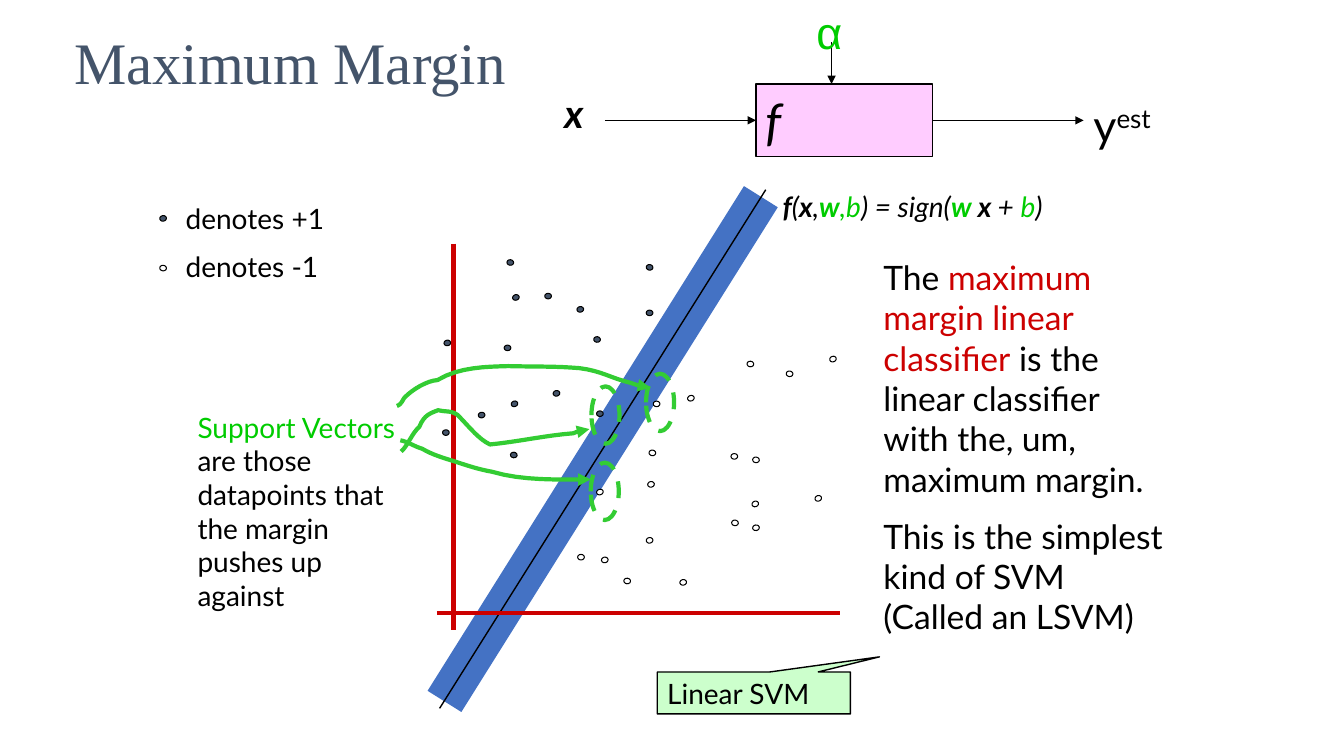
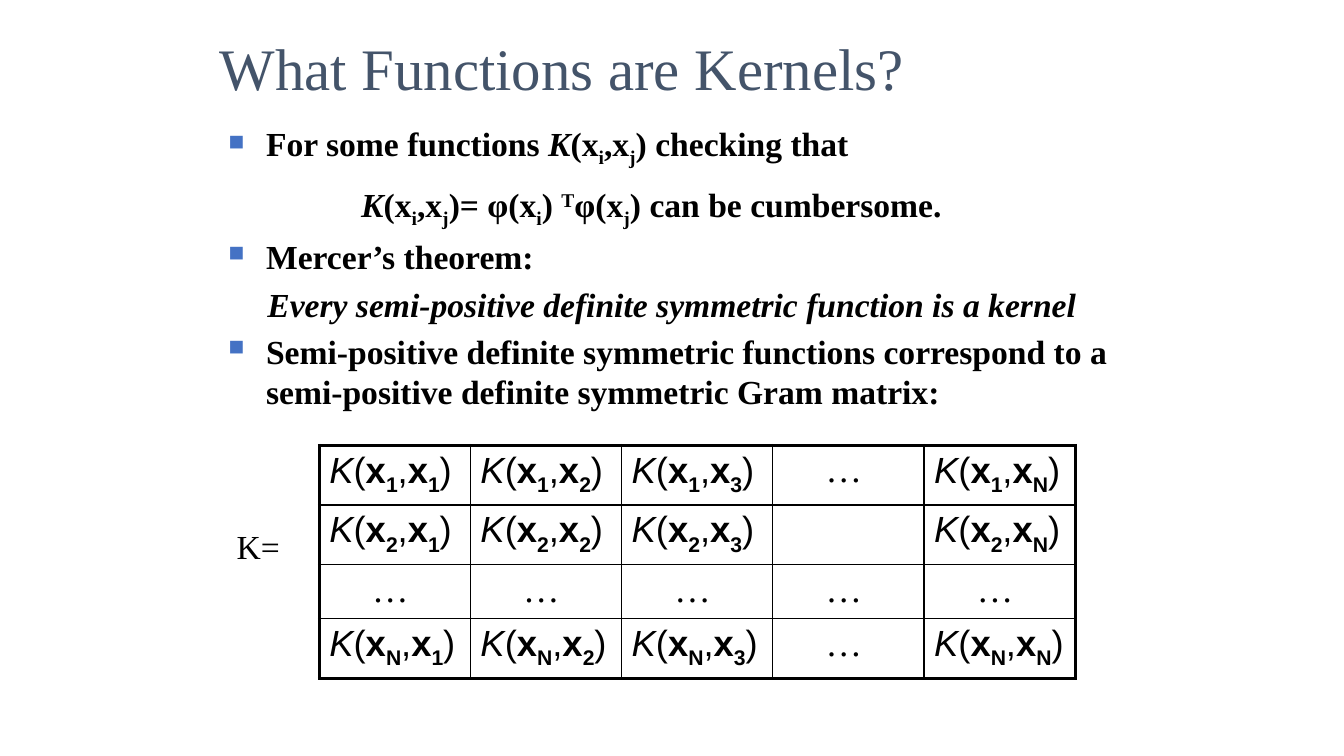
from lxml import etree
from pptx import Presentation
from pptx.dml.color import RGBColor
from pptx.enum.dml import MSO_LINE
from pptx.enum.shapes import MSO_CONNECTOR, MSO_SHAPE
from pptx.enum.text import MSO_ANCHOR, PP_ALIGN
from pptx.oxml.ns import qn
from pptx.util import Pt

BLACK = RGBColor(0x00, 0x00, 0x00)
WHITE = RGBColor(0xFF, 0xFF, 0xFF)
SLATE = RGBColor(0x44, 0x54, 0x6A)
BLUE = RGBColor(0x44, 0x72, 0xC4)
RED = RGBColor(0xCC, 0x00, 0x00)
GREEN = RGBColor(0x00, 0xCC, 0x00)
ARROW_GREEN = RGBColor(0x33, 0xCC, 0x33)
PINK = RGBColor(0xFF, 0xCC, 0xFF)
MINT = RGBColor(0xCC, 0xFF, 0xCC)

SANS, SERIF, ARIAL = "Lato", "Times New Roman", "Arial"
TOP, MIDDLE, BOTTOM = MSO_ANCHOR.TOP, MSO_ANCHOR.MIDDLE, MSO_ANCHOR.BOTTOM
LEFT, CENTER = PP_ALIGN.LEFT, PP_ALIGN.CENTER
RECTANGLE, ELLIPSE = MSO_SHAPE.RECTANGLE, MSO_SHAPE.OVAL
CALLOUT = MSO_SHAPE.RECTANGULAR_CALLOUT
STRAIGHT = MSO_CONNECTOR.STRAIGHT
DASH = MSO_LINE.DASH
LEFT_SIDE, RIGHT_SIDE = 1, 3

INKS = {"g": GREEN, "r": RED}
BASELINES = {"_": "-25000", "^": "30000"}

DATAPOINTS = [
    (0, SLATE, [(318.5, 309), (464, 223.5), (391.5, 211.5), (428.5, 295.5), (362.5, 248.5)]),
    (0, WHITE, [(415, 398), (469, 288.5), (524.5, 326)]),
    (-19, SLATE, [(368.5, 212.5), (367.5, 288.5)]),
    (-19, WHITE, [(428.5, 351.5), (595, 256.5), (539.5, 360), (493.5, 284.5), (584.5, 356)]),
    (8, SLATE, [(426.5, 242.5), (367, 325), (464, 191), (364.5, 187.5)]),
    (8, WHITE, [(448, 415), (540, 328.5), (466, 323.5), (564, 267), (536, 260),
                (525, 373.5)]),
    (-10, SLATE, [(397.5, 281), (344, 296.5), (414.5, 221), (319.5, 245)]),
    (-10, WHITE, [(488, 416), (464, 386), (465, 346), (432, 400), (540, 377)]),
]
LEGEND_POINTS = [(-10, SLATE, [(116.5, 156)]), (8, WHITE, [(116.5, 191.5)])]

SUPPORT_ARROWS = [
    [(286.5, 322.5), (291, 319), (294.5, 309), (299.5, 305), (303, 296), (308, 295),
     (313, 293), (319, 294.5), (322, 293), (327, 296.5), (337, 307), (342, 313.5),
     (350, 317.5), (370, 315.5), (390, 311), (409.5, 309.5), (413, 308),
     (417.5, 306.5), (421, 306.5)],
    [(283.5, 290), (287, 289), (288, 284.5), (289.5, 283.5), (295, 278), (305, 272),
     (312.5, 271.5), (328, 262), (348, 262), (363, 261.5), (380, 262), (397.5, 261.5),
     (414, 263), (430, 265), (436, 270), (450.5, 273.5), (455, 275), (460, 277),
     (464.5, 277)],
    [(286, 314.5), (291.5, 315.5), (296, 319), (301.5, 320.5), (309, 325), (318, 327.5),
     (326, 330), (335, 333), (343, 335.5), (351.5, 337), (373.5, 343.5), (399, 342.5),
     (422, 342.5)],
]


def kernel(row, column, style=""):
    return [("K", style + "i"), ("(", style), ("x", "b"), (row, "b_"),
            (",", style), ("x", "b"), (column, "b_"), (")", style)]


def bezier_points(points, steps=8):
    for start in range(0, len(points) - 1, 3):
        a, b, c, d = points[start:start + 4]
        for step in range(1, steps + 1):
            t = step / steps
            u = 1 - t
            yield tuple(
                Pt(u**3 * a[k] + 3 * u * u * t * b[k] + 3 * u * t * t * c[k] + t**3 * d[k])
                for k in (0, 1))


class Deck:
    def __init__(self):
        self.presentation = Presentation()
        self.presentation.slide_width = Pt(960)
        self.presentation.slide_height = Pt(540)
        self.slide = None

    def new_slide(self):
        layout = self.presentation.slide_layouts[6]
        self.slide = self.presentation.slides.add_slide(layout)

    def set_text(self, frame, paragraphs, size, font=SANS, color=BLACK, gap=0.5,
                 align=LEFT, anchor=TOP):
        frame.word_wrap = True
        frame.vertical_anchor = anchor
        for number, runs in enumerate(paragraphs):
            paragraph = frame.add_paragraph() if number else frame.paragraphs[0]
            paragraph.alignment = align
            paragraph.space_before = Pt(size * gap)
            for words, style in runs:
                run = paragraph.add_run()
                run.text = words
                run.font.name = font
                run.font.size = Pt(size)
                run.font.bold = "b" in style
                run.font.italic = "i" in style
                run.font.color.rgb = color
                for mark in style:
                    if mark in INKS:
                        run.font.color.rgb = INKS[mark]
                    if mark in BASELINES:
                        run.font._element.set("baseline", BASELINES[mark])

    def text(self, box, paragraphs, size, **style):
        frame = self.slide.shapes.add_textbox(*map(Pt, box)).text_frame
        self.set_text(frame, paragraphs, size, **style)
        return frame

    def title(self, box, words, anchor):
        self.text(box, [[(words, "")]], 42, font=SERIF, color=SLATE, anchor=anchor)

    def outline(self, shape, color, width, arrow=False):
        shape.line.color.rgb = color
        shape.line.width = Pt(width)
        if arrow:
            line = shape._element.spPr.find(qn("a:ln"))
            etree.SubElement(line, qn("a:tailEnd"), type="triangle")

    def shape(self, kind, box, fill=None, color=BLACK, width=1):
        shape = self.slide.shapes.add_shape(kind, *map(Pt, box))
        shape.shadow.inherit = False
        if fill is None:
            shape.fill.background()
        else:
            shape.fill.solid()
            shape.fill.fore_color.rgb = fill
        self.outline(shape, color, width)
        return shape

    def line(self, start, end, color=BLACK, width=1, arrow=False):
        line = self.slide.shapes.add_connector(STRAIGHT, *map(Pt, start + end))
        self.outline(line, color, width, arrow)
        etree.SubElement(line._element.spPr, qn("a:effectLst"))
        return line

    def datapoints(self, groups):
        for tilt, fill, centers in groups:
            for x, y in centers:
                dot = self.shape(ELLIPSE, (x - 2.4, y - 2, 4.8, 4), fill, width=0.75)
                dot.rotation = tilt

    def curved_arrow(self, points):
        x, y = points[0]
        builder = self.slide.shapes.build_freeform(Pt(x), Pt(y))
        builder.add_line_segments(list(bezier_points(points)), close=False)
        curve = builder.convert_to_shape()
        curve.shadow.inherit = False
        curve.fill.background()
        self.outline(curve, ARROW_GREEN, 3, arrow=True)

    def indent(self, paragraph, margin, first, bullet=False):
        properties = paragraph._p.get_or_add_pPr()
        properties.set("marL", str(Pt(margin)))
        properties.set("indent", str(Pt(first)))
        if bullet:
            color = etree.SubElement(properties, qn("a:buClr"))
            etree.SubElement(color, qn("a:srgbClr"), val=str(BLUE))
            etree.SubElement(properties, qn("a:buSzPct"), val="65000")
            etree.SubElement(properties, qn("a:buChar"), char="■")

    def border(self, cell, widths):
        properties = cell._tc.get_or_add_tcPr()
        for side, width in zip("LRTB", widths):
            edge = etree.SubElement(properties, qn("a:ln" + side), w=str(Pt(width)))
            fill = etree.SubElement(edge, qn("a:solidFill"))
            etree.SubElement(fill, qn("a:srgbClr"), val=str(BLACK))

    def matrix(self, left, top, column_width, row_height, names_down, names_across):
        rows, columns = len(names_down), len(names_across)
        table = self.slide.shapes.add_table(
            rows, columns, Pt(left), Pt(top),
            Pt(column_width * columns), Pt(row_height * rows)).table
        table.first_row = table.horz_banding = False
        for r, down in enumerate(names_down):
            table.rows[r].height = Pt(row_height)
            for c, across in enumerate(names_across):
                cell = table.cell(r, c)
                outer = (c == 0, c == columns - 1, r == 0, r == rows - 1)
                self.border(cell, [2.25 if edge else 1 for edge in outer])
                cell.fill.background()
                if down and across:
                    self.set_text(cell.text_frame, [kernel(down, across)], 26, font=ARIAL)
                elif (r, c) != (1, 3):
                    self.set_text(cell.text_frame, [[("… ", "")]], 26, font=SERIF,
                                  align=CENTER)


def maximum_margin(deck):
    deck.new_slide()
    deck.line((317.5, 501), (543.5, 140.5), BLUE, 28.5)
    deck.line((314, 506), (547, 135.5))
    deck.title((46, 18, 366, 54), "Maximum Margin", BOTTOM)

    function_box = deck.shape(RECTANGLE, (540, 60, 126, 52), PINK)
    deck.set_text(function_box.text_frame, [[("f", "i")]], 36, anchor=MIDDLE)
    input_arrow = deck.line((432, 86), (540, 86), arrow=True)
    input_arrow.end_connect(function_box, LEFT_SIDE)
    output_arrow = deck.line((666, 86), (774, 86), arrow=True)
    output_arrow.begin_connect(function_box, RIGHT_SIDE)
    deck.line((594, 30), (594, 60), arrow=True)
    deck.text((396, 60, 48, 41), [[("x", "bi")]], 28)
    deck.text((576, 0, 30, 45), [[("α", "g")]], 32, font=ARIAL)
    deck.text((774, 66, 66, 45), [[("y", ""), ("est", "^")]], 32)

    deck.line((324, 174), (324, 450), RED, 3)
    deck.line((312, 438), (600, 438), RED, 3)
    deck.datapoints(DATAPOINTS)

    deck.text((552, 132, 252, 31), [[
        ("f", "bi"), ("(", "i"), ("x", "bi"), (",", "i"), ("w", "big"), (",b", "ig"),
        (") = sign(", "i"), ("w", "big"), (" x ", "bi"), ("+ ", "i"), ("b", "ig"),
        (")", "i")]], 20)
    deck.text((624, 180, 216, 312), [
        [("The ", ""), ("maximum margin linear classifier", "r"),
         (" is the linear classifier with the, um, maximum margin.", "")],
        [("This is the simplest kind of SVM (Called an LSVM)", "")]], 24)

    callout = deck.shape(CALLOUT, (469.5, 480, 138, 30), MINT)
    callout.adjustments[0] = 0.65
    callout.adjustments[1] = -0.86
    deck.set_text(callout.text_frame, [[("Linear SVM", "")]], 20)

    deck.text((134, 289.5, 167, 151), [[
        ("Support Vectors ", "g"),
        ("are those datapoints that the margin pushes up against", "")]], 20)
    for arrow in SUPPORT_ARROWS:
        deck.curved_arrow(arrow)
    for left, top in [(461.5, 267), (422.5, 276), (422, 330.5)]:
        ring = deck.shape(ELLIPSE, (left, top, 20, 41), color=ARROW_GREEN, width=3)
        ring.line.dash_style = DASH

    deck.text((125.5, 140.5, 150, 67), [[("denotes +1", "")], [("denotes -1", "")]], 20)
    deck.datapoints(LEGEND_POINTS)


def kernel_functions(deck):
    deck.new_slide()
    deck.title((150, 18, 612, 60), "What Functions are Kernels?", MIDDLE)
    body = deck.text((156, 84, 648, 396), [
        [("For some functions ", "b")] + kernel("i", "j", "b") + [(" checking that", "b")],
        kernel("i", "j", "b") + [
            ("= φ(x", "b"), ("i", "b_"), (") ", "b"), ("T", "b^"), ("φ(x", "b"),
            ("j", "b_"), (") can be cumbersome.", "b")],
        [("Mercer’s theorem:", "b")],
        [("Every semi-positive definite symmetric function is a kernel", "bi")],
        [("Semi-positive definite symmetric functions correspond to a "
          "semi-positive definite symmetric Gram matrix:", "b")],
    ], 24, font=SERIF, gap=0.2)
    for number, paragraph in enumerate(body.paragraphs):
        deck.indent(paragraph, 27, -27, bullet=number % 2 == 0)
    equation, theorem = body.paragraphs[1], body.paragraphs[3]
    deck.indent(equation, 95, 0)
    equation.space_before = Pt(11)
    theorem.alignment = CENTER

    deck.matrix(228, 318, 108, 38.3, ["1", "2", None, "N"], ["1", "2", "3", None, "N"])
    deck.text((162, 372, 76, 36), [[("K=", "")]], 24, font=SERIF)


def main():
    deck = Deck()
    maximum_margin(deck)
    kernel_functions(deck)
    deck.presentation.save("out.pptx")


if __name__ == "__main__":
    main()
